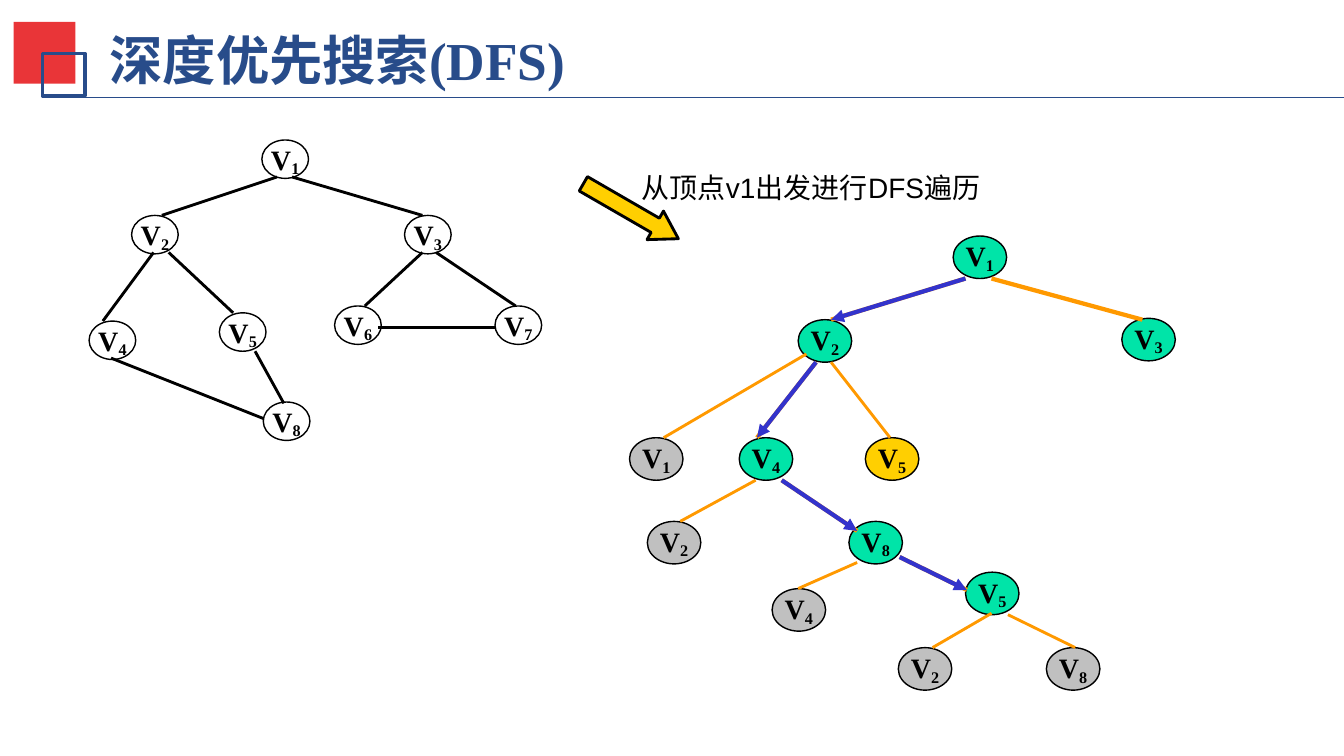
"""Build a slide that shows a depth-first traversal of a graph and its search tree."""
import pptx
import pptx.util
import pptx.dml.color
import pptx.enum.shapes
import pptx.enum.text
import lxml.etree

Inches = pptx.util.Inches
Pt = pptx.util.Pt
RGBColor = pptx.dml.color.RGBColor
PRESET = pptx.enum.shapes.MSO_SHAPE

NAVY = RGBColor(0x28, 0x4C, 0x8A)
RED = RGBColor(0xE9, 0x35, 0x38)
BLACK = RGBColor(0, 0, 0)
WHITE = RGBColor(0xFF, 0xFF, 0xFF)
GREEN = RGBColor(0, 0xE4, 0xA8)
GRAY = RGBColor(0xC0, 0xC0, 0xC0)
YELLOW = RGBColor(0xFF, 0xCF, 0x01)
ORANGE = RGBColor(0xFF, 0x99, 0)
BLUE = RGBColor(0x33, 0x33, 0xCC)
DRAWING = "{http://schemas.openxmlformats.org/drawingml/2006/main}"

presentation = pptx.Presentation()
presentation.slide_width = Inches(9.8)
presentation.slide_height = Inches(5.51)
slide = presentation.slides.add_slide(presentation.slide_layouts[5])


def add_preset(preset, box, fill=None, line=None, weight=0.75):
    shape = slide.shapes.add_shape(preset, *map(Inches, box))
    shape.shadow.inherit = False
    if fill is None:
        shape.fill.background()
    else:
        shape.fill.solid()
        shape.fill.fore_color.rgb = fill
    if line is None:
        shape.line.fill.background()
    else:
        shape.line.color.rgb = line
        shape.line.width = Pt(weight)
    return shape


def add_edge(ends, color, weight, arrow=False):
    edge = slide.shapes.add_connector(
        pptx.enum.shapes.MSO_CONNECTOR.STRAIGHT, *map(Inches, ends))
    edge.line.color.rgb = color
    edge.line.width = Pt(weight)
    if arrow:
        line = edge.line._get_or_add_ln()
        lxml.etree.SubElement(line, DRAWING + "tailEnd", type="triangle")
    lxml.etree.SubElement(edge._element.spPr, DRAWING + "effectLst")


title = slide.shapes.title
title.left, title.top, title.width, title.height = map(Inches, (0.73, 0.16, 7.32, 0.55))
title_frame = title.text_frame
title_frame.text = "深度优先搜索(DFS)"
title_frame.auto_size = pptx.enum.text.MSO_AUTO_SIZE.NONE
title_frame.margin_left = title_frame.margin_right = Inches(0.07)
title_frame.margin_top = title_frame.margin_bottom = Inches(0.04)
paragraph = title_frame.paragraphs[0]
paragraph.alignment = pptx.enum.text.PP_ALIGN.LEFT
paragraph.font.name = "Times New Roman"
paragraph.font.size = Pt(28)
paragraph.font.bold = True
paragraph.font.color.rgb = NAVY

add_preset(PRESET.RECTANGLE, (0.1, 0.16, 0.45, 0.45), fill=RED)
add_preset(PRESET.RECTANGLE, (0.31, 0.39, 0.31, 0.31), line=NAVY, weight=2)
add_edge((0.38, 0.71, 9.8, 0.71), NAVY, 0.75)

caption = slide.shapes.add_textbox(*map(Inches, (4.58, 1.19, 2.76, 0.34)))
caption.text_frame.word_wrap = True
paragraph = caption.text_frame.paragraphs[0]
paragraph.text = "从顶点v1出发进行DFS遍历"
paragraph.space_before = Pt(3)
paragraph.font.name = "Arial"
paragraph.font.size = Pt(14.7)
paragraph.font.color.rgb = BLACK
indents = paragraph._p.get_or_add_pPr()
indents.set("marL", str(Inches(0.28)))
indents.set("indent", str(Inches(-0.28)))

step_arrow = add_preset(PRESET.RIGHT_ARROW, (4.2, 1.42, 0.8, 0.24), YELLOW, BLACK, 1.5)
step_arrow.adjustments[1] = 0.81
step_arrow.rotation = 30

graph_nodes = [
    ("1", 1.91, 1.02, WHITE), ("2", 0.96, 1.57, WHITE), ("3", 2.95, 1.57, WHITE),
    ("4", 0.65, 2.34, WHITE), ("5", 1.6, 2.28, WHITE), ("6", 2.44, 2.23, WHITE),
    ("7", 3.61, 2.23, WHITE), ("8", 1.92, 2.93, WHITE),
]
tree_nodes = [
    ("1", 6.95, 1.72, GREEN), ("2", 5.82, 2.33, GREEN), ("3", 8.18, 2.32, GREEN),
    ("1", 4.59, 3.19, GRAY), ("4", 5.39, 3.19, GREEN), ("5", 6.31, 3.19, YELLOW),
    ("2", 4.72, 3.8, GRAY), ("8", 6.19, 3.8, GREEN),
    ("4", 5.63, 4.29, GRAY), ("5", 7.04, 4.17, GREEN),
    ("2", 6.55, 4.72, GRAY), ("8", 7.63, 4.72, GRAY),
]
for nodes, width, height in ((graph_nodes, 0.34, 0.28), (tree_nodes, 0.39, 0.31)):
    for number, left, top, fill in nodes:
        node = add_preset(PRESET.OVAL, (left, top, width, height), fill, BLACK)
        frame = node.text_frame
        frame.margin_left = frame.margin_right = frame.margin_bottom = 0
        frame.margin_top = Inches(0.03)
        frame.vertical_anchor = pptx.enum.text.MSO_ANCHOR.TOP
        paragraph = frame.paragraphs[0]
        paragraph.alignment = pptx.enum.text.PP_ALIGN.CENTER
        paragraph.line_spacing = 0.72
        paragraph.font.name = "Times New Roman"
        paragraph.font.size = Pt(14.7)
        paragraph.font.bold = True
        paragraph.font.color.rgb = BLACK
        paragraph.add_run().text = "V"
        subscript = paragraph.add_run()
        subscript.text = number
        subscript.font._element.set("baseline", "-16000")

graph_edges = [
    (2.02, 1.29, 1.18, 1.57), (2.13, 1.29, 3.08, 1.57), (1.12, 1.84, 0.75, 2.34),
    (1.23, 1.84, 1.7, 2.28), (0.81, 2.61, 1.92, 3.05), (2.07, 2.94, 1.86, 2.56),
    (3.08, 1.84, 2.66, 2.23), (3.18, 1.84, 3.76, 2.23), (2.76, 2.39, 3.61, 2.39),
]
tree_edges = [
    (5.88, 2.58, 4.84, 3.19), (6.06, 2.64, 6.49, 3.19), (5.51, 3.5, 4.96, 3.8),
    (6.25, 4.1, 5.82, 4.29), (7.23, 4.47, 6.8, 4.72), (7.35, 4.48, 7.84, 4.72),
]
visited_edges = [
    (7.04, 2.03, 6.06, 2.33), (5.95, 2.64, 5.52, 3.19),
    (5.7, 3.5, 6.25, 3.87), (6.56, 4.06, 7.05, 4.3),
]
for ends in graph_edges:
    add_edge(ends, BLACK, 1.5)
for ends in tree_edges:
    add_edge(ends, ORANGE, 1.5)
add_edge((7.23, 2.03, 8.33, 2.33), ORANGE, 2.25)
for ends in visited_edges:
    add_edge(ends, ORANGE, 2.25)
    add_edge(ends, BLUE, 2.25, arrow=True)

presentation.save("out.pptx")
